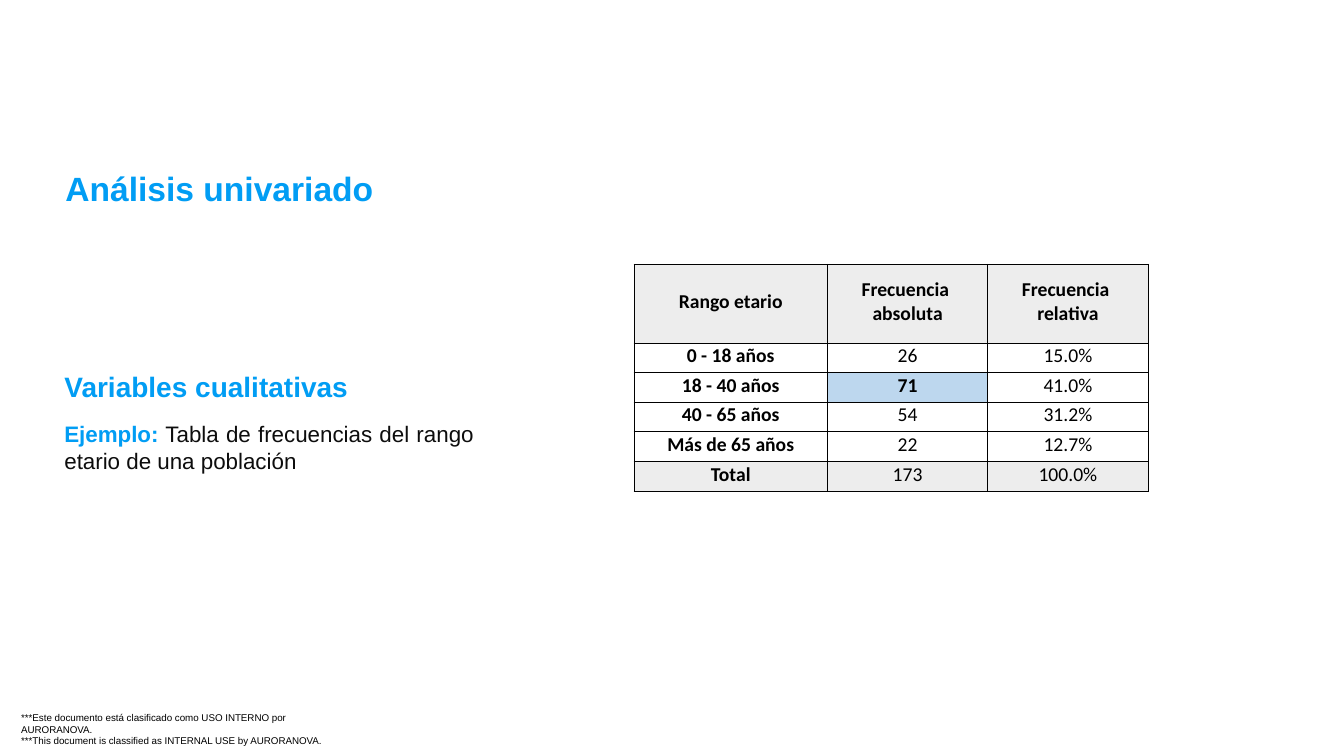
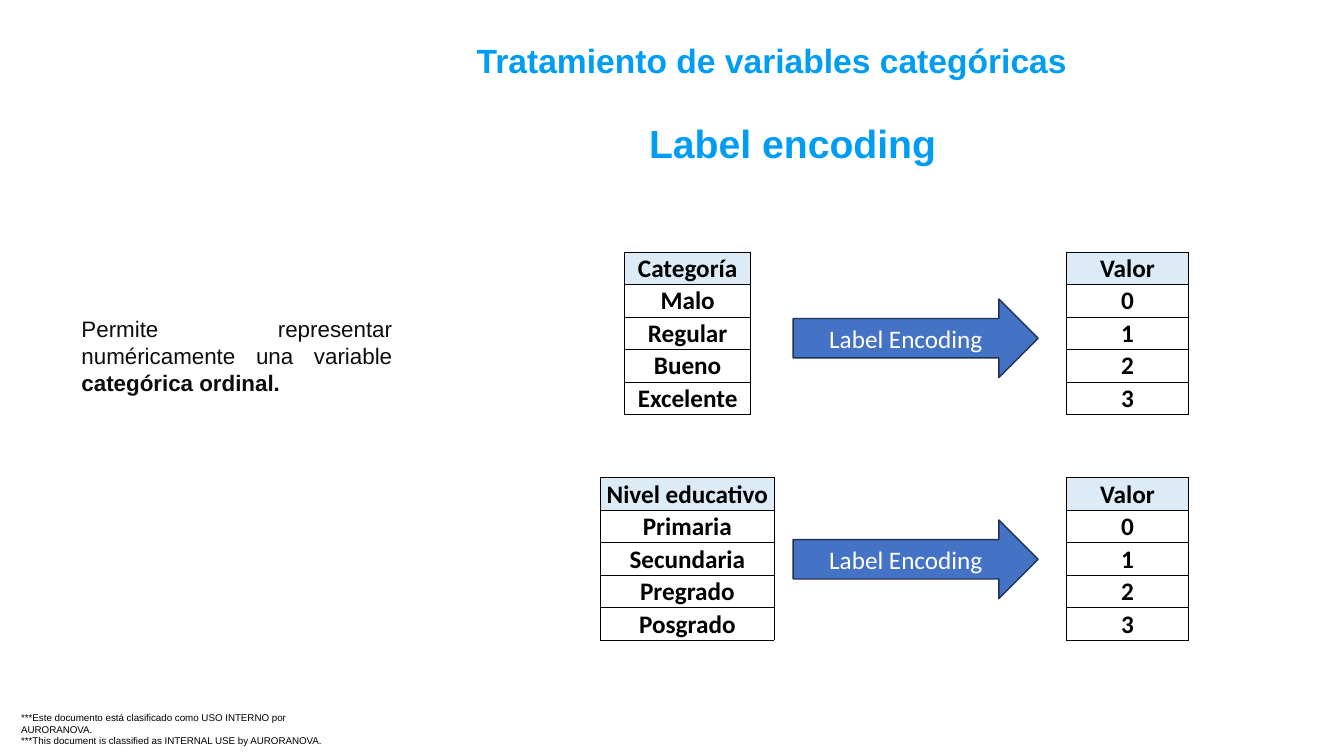
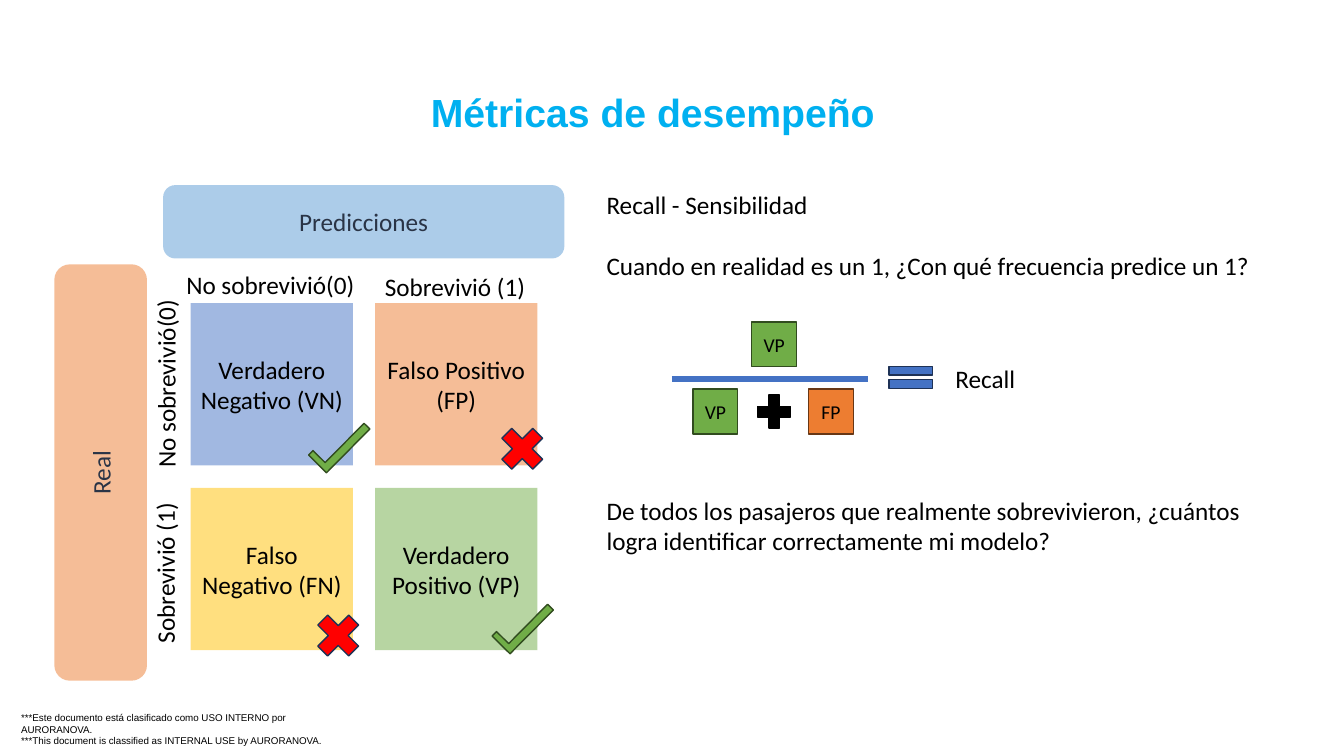
"""Build three slides on frequencies, label encoding and recall."""
import dataclasses
import typing

import lxml.etree
import pptx
import pptx.dml.color
import pptx.enum.shapes
import pptx.enum.text
import pptx.oxml
import pptx.oxml.ns
import pptx.util

Pt = pptx.util.Pt
Kind = pptx.enum.shapes.MSO_SHAPE
Align = pptx.enum.text.PP_ALIGN
Anchor = pptx.enum.text.MSO_ANCHOR
qn = pptx.oxml.ns.qn

SKY = "019DF4"
INK = "0D0D0D"
BLACK = "000000"
BLUE = "4472C4"
NAVY = "1E3256"
GREEN = "70AD47"
MOSS = "314C1F"
ORANGE = "ED7D31"
SLATE = "2A3446"
GREY = "EDEDED"
FOOTER = (
    "***Este documento está clasificado como USO INTERNO por AURORANOVA.\n"
    "***This document is classified as INTERNAL USE by AURORANOVA."
)


class Span(typing.NamedTuple):
    text: str
    bold: bool = False
    ink: str = INK


@dataclasses.dataclass
class Label:
    left: float
    top: float
    wide: float
    high: float
    paras: list[str | list[Span]]
    size: float = 18
    face: str = "Calibri"
    ink: str = BLACK
    bold: bool = False
    align: typing.Any = Align.LEFT
    anchor: typing.Any = Anchor.TOP
    wrap: bool = True
    inset: bool = True
    turn: float = 0
    gap: float = 0


@dataclasses.dataclass
class Piece:
    kind: typing.Any
    left: float
    top: float
    wide: float
    high: float
    fill: str
    line: str | None = None
    text: str = ""
    size: float = 18
    ink: str = BLACK
    turn: float = 0
    alpha: int = 100


@dataclasses.dataclass
class Grid:
    left: float
    top: float
    cols: list[float]
    heights: list[float]
    rows: list[list[str]]
    tones: dict[int, str]
    size: float = 18
    line: float = 0.5
    foot: float = 0
    mark: tuple[int, int] | None = None


def tint(hue: str) -> pptx.dml.color.RGBColor:
    return pptx.dml.color.RGBColor.from_string(hue)


def style(para, size: float, face: str, ink: str, bold: bool, align) -> None:
    para.alignment = align
    font = para.font
    font.size, font.name, font.bold = Pt(size), face, bold
    font.color.rgb = tint(ink)


def write(slide, label: Label) -> None:
    box = slide.shapes.add_textbox(*map(Pt, (label.left, label.top, label.wide, label.high)))
    box.rotation = label.turn
    frame = box.text_frame
    frame.word_wrap = label.wrap
    frame.vertical_anchor = label.anchor
    if not label.wrap:
        frame.auto_size = pptx.enum.text.MSO_AUTO_SIZE.SHAPE_TO_FIT_TEXT
    if not label.inset:
        frame.margin_left = frame.margin_right = frame.margin_top = frame.margin_bottom = Pt(0)
    for row, words in enumerate(label.paras):
        para = frame.add_paragraph() if row else frame.paragraphs[0]
        if row:
            para.space_before = Pt(label.gap)
        style(para, label.size, label.face, label.ink, label.bold, label.align)
        if isinstance(words, str):
            para.text = words
            continue
        for span in words:
            run = para.add_run()
            run.text = span.text
            run.font.bold = span.bold
            run.font.color.rgb = tint(span.ink)


def paint(shape, fill: str, line: str | None, turn: float) -> None:
    shape.shadow.inherit = False
    shape.rotation = turn
    shape.fill.solid()
    shape.fill.fore_color.rgb = tint(fill)
    if line:
        shape.line.color.rgb = tint(line)
        shape.line.width = Pt(1)
    else:
        shape.line.fill.background()


def draw(slide, piece: Piece) -> None:
    shape = slide.shapes.add_shape(
        piece.kind, *map(Pt, (piece.left, piece.top, piece.wide, piece.high)))
    paint(shape, piece.fill, piece.line, piece.turn)
    if piece.alpha < 100:
        hue = shape.element.spPr.find(".//" + qn("a:srgbClr"))
        lxml.etree.SubElement(hue, qn("a:alpha"), val=str(piece.alpha * 1000))
    if piece.text:
        frame = shape.text_frame
        frame.word_wrap = True
        frame.vertical_anchor = Anchor.MIDDLE
        para = frame.paragraphs[0]
        para.text = piece.text
        style(para, piece.size, "Calibri", piece.ink, False, Align.CENTER)


def check(slide, left: float, top: float) -> None:
    wide, high, stem, foot = 44, 18, 4.5, 5.8
    points = [(stem, 0), (stem, high - foot), (wide, high - foot), (wide, high), (0, high)]
    form = slide.shapes.build_freeform(Pt(left), Pt(top))
    form.add_line_segments([(Pt(left + x), Pt(top + y)) for x, y in points])
    paint(form.convert_to_shape(), GREEN, MOSS, 314.7)


def edge(cell, width: float) -> None:
    props = cell._tc.get_or_add_tcPr()
    for side in "LRTB":
        line = lxml.etree.SubElement(props, qn(f"a:ln{side}"), w=str(Pt(width)))
        solid = lxml.etree.SubElement(line, qn("a:solidFill"))
        lxml.etree.SubElement(solid, qn("a:srgbClr"), val=BLACK)


def tab(slide, grid: Grid) -> None:
    table = slide.shapes.add_table(
        len(grid.rows), len(grid.cols), Pt(grid.left), Pt(grid.top),
        Pt(sum(grid.cols)), Pt(sum(grid.heights))).table
    table.first_row = table.horz_banding = False
    for col, wide in zip(table.columns, grid.cols):
        col.width = Pt(wide)
    for row, high in zip(table.rows, grid.heights):
        row.height = Pt(high)
    for down, words in enumerate(grid.rows):
        for across, text in enumerate(words):
            cell = table.cell(down, across)
            marked = (down, across) == grid.mark
            edge(cell, grid.line)
            tone = "BDD7EE" if marked else grid.tones.get(down)
            if tone:
                cell.fill.solid()
                cell.fill.fore_color.rgb = tint(tone)
            else:
                cell.fill.background()
            cell.margin_left = cell.margin_right = cell.margin_top = Pt(0.72)
            cell.margin_bottom = Pt(grid.foot)
            cell.vertical_anchor = Anchor.MIDDLE
            cell.text_frame.text = text
            bold = marked or down == 0 or across == 0
            for para in cell.text_frame.paragraphs:
                style(para, grid.size, "Calibri", BLACK, bold, Align.CENTER)


def head(slide, left: float, top: float, wide: float, text: str, size: float = 24,
         ink: str = SKY, align=Align.LEFT) -> None:
    write(slide, Label(left, top, wide, 40.3, [text], size, "Arial", ink, True,
                       align, Anchor.MIDDLE))


def start(deck):
    slide = deck.slides.add_slide(deck.slide_layouts[6])
    write(slide, Label(15.1, 508.3, 240.5, 16.6, [FOOTER], 7, "Arial", inset=False))
    return slide


def counts(deck) -> None:
    slide = start(deck)
    head(slide, 39.6, 114.5, 540, "Análisis univariado")
    write(slide, Label(38.9, 296.6, 306.7, 52.6, [[
        Span("Ejemplo:", True, SKY),
        Span(" Tabla de frecuencias del rango etario de una población"),
    ]], 16, "Arial", INK, align=Align.JUSTIFY))
    head(slide, 38.9, 255.6, 251.3, "Variables cualitativas", 20)
    rows = [
        ["Rango etario", "Frecuencia \nabsoluta", "Frecuencia \nrelativa"],
        ["0 - 18 años", "26", "15.0%"],
        ["18 - 40 años", "71", "41.0%"],
        ["40 - 65 años", "54", "31.2%"],
        ["Más de 65 años", "22", "12.7%"],
        ["Total", "173", "100.0%"],
    ]
    tab(slide, Grid(452.9, 188.8, [138.2, 114.5, 114.5], [56.3] + [21.1] * 5, rows,
                    {0: GREY, 5: GREY}, 14, 0.75, 3.6, (2, 1)))


def codes(deck) -> None:
    slide = start(deck)
    head(slide, 333.4, 23, 540, "Tratamiento de variables categóricas")
    head(slide, 456.5, 82.1, 251.3, "Label encoding", 28)
    write(slide, Label(51.1, 221.8, 236.2, 134, [[
        Span("Permite representar numéricamente una variable "),
        Span("categórica ordinal.", True),
    ]], 16, "Arial", INK, align=Align.JUSTIFY))
    value = ["Valor", "0", "1", "2", "3"]
    grade = ["Categoría", "Malo", "Regular", "Bueno", "Excelente"]
    school = ["Nivel educativo", "Primaria", "Secundaria", "Pregrado", "Posgrado"]
    for top, arrow, left, wide, names in (
        (180, 213.5, 446.2, 90, grade),
        (341.3, 371.4, 429, 124, school),
    ):
        for side, width, words in ((left, wide, names), (761.8, 87.1, value)):
            tab(slide, Grid(side, top, [width], [23.2] * 5,
                            [[word] for word in words], {0: "DDEBF7"}))
        draw(slide, Piece(Kind.RIGHT_ARROW, 566.6, arrow, 175, 56.2, BLUE, NAVY,
                          "Label Encoding", ink="FFFFFF"))


def recall(deck) -> None:
    slide = start(deck)
    write(slide, Label(426.2, 131.8, 484.6, 72.7, [
        "Recall - Sensibilidad",
        "Cuando en realidad es un 1, ¿Con qué frecuencia predice un 1?",
    ], wrap=False, gap=22))
    for left, top, fill, line, text in (
        (537, 230, GREEN, MOSS, "VP"),
        (495, 278, GREEN, MOSS, "VP"),
        (577.6, 278, ORANGE, "683715", "FP"),
    ):
        draw(slide, Piece(Kind.RECTANGLE, left, top, 32, 32, fill, line, text, 14))
    bar = slide.shapes.add_connector(
        pptx.enum.shapes.MSO_CONNECTOR.STRAIGHT, Pt(480), Pt(270.5), Pt(620), Pt(270.5))
    bar.line.color.rgb = tint(BLUE)
    bar.line.width = Pt(4.5)
    lxml.etree.SubElement(bar.element.spPr, qn("a:effectLst"))
    draw(slide, Piece(Kind.MATH_PLUS, 537, 278, 32, 32, BLACK, BLACK))
    draw(slide, Piece(Kind.MATH_EQUAL, 629.3, 256.3, 42.5, 26.6, BLUE, NAVY))
    write(slide, Label(675.4, 255.9, 57.6, 29, ["Recall"], wrap=False))
    write(slide, Label(426.2, 350, 480.2, 51, [
        "De todos los pasajeros que realmente sobrevivieron, "
        "¿cuántos logra identificar correctamente mi modelo?"]))

    cases = (
        (BLUE, "Verdadero Negativo (VN)"), (ORANGE, "Falso Positivo (FP)"),
        ("FFC000", "Falso Negativo (FN)"), (GREEN, "Verdadero Positivo (VP)"),
    )
    for spot, (fill, text) in enumerate(cases):
        down, across = divmod(spot, 2)
        draw(slide, Piece(Kind.RECTANGLE, 136.2 + 131.7 * across, 216.5 + 132 * down,
                          116, 116, fill, text=text, alpha=50))
    draw(slide, Piece(Kind.ROUNDED_RECTANGLE, 116.5, 132.2, 286.6, 52.4, "5B9BD5",
                      text="Predicciones", ink=SLATE, alpha=50))
    draw(slide, Piece(Kind.ROUNDED_RECTANGLE, -76.8, 304.4, 297.4, 66.2, ORANGE,
                      text="Real", ink=SLATE, turn=270, alpha=50))
    for left, top, wide, turn, text in (
        (126, 188.8, 136, 0, "No sobrevivió(0)"),
        (267.8, 190.2, 116, 0, "Sobrevivió (1)"),
        (50.4, 258.8, 136, 270, "No sobrevivió(0)"),
        (59.8, 394.2, 116, 270, "Sobrevivió (1)"),
    ):
        write(slide, Label(left, top, wide, 29, [text], wrap=False, turn=turn))
    for left, top in ((220.3, 306.7), (351.4, 436)):
        check(slide, left, top)
    for left, top in ((220.3, 432.7), (351.8, 299.3)):
        draw(slide, Piece(Kind.MATH_MULTIPLY, left, top, 42.5, 42.5, "FF0000", NAVY))
    head(slide, 237.6, 59.8, 457.2, "Métricas de desempeño", 28, "00B0F0", Align.CENTER)


def main() -> None:
    deck = pptx.Presentation()
    deck.slide_width, deck.slide_height = Pt(960), Pt(540)
    counts(deck)
    codes(deck)
    recall(deck)
    deck.save("out.pptx")


if __name__ == "__main__":
    main()
